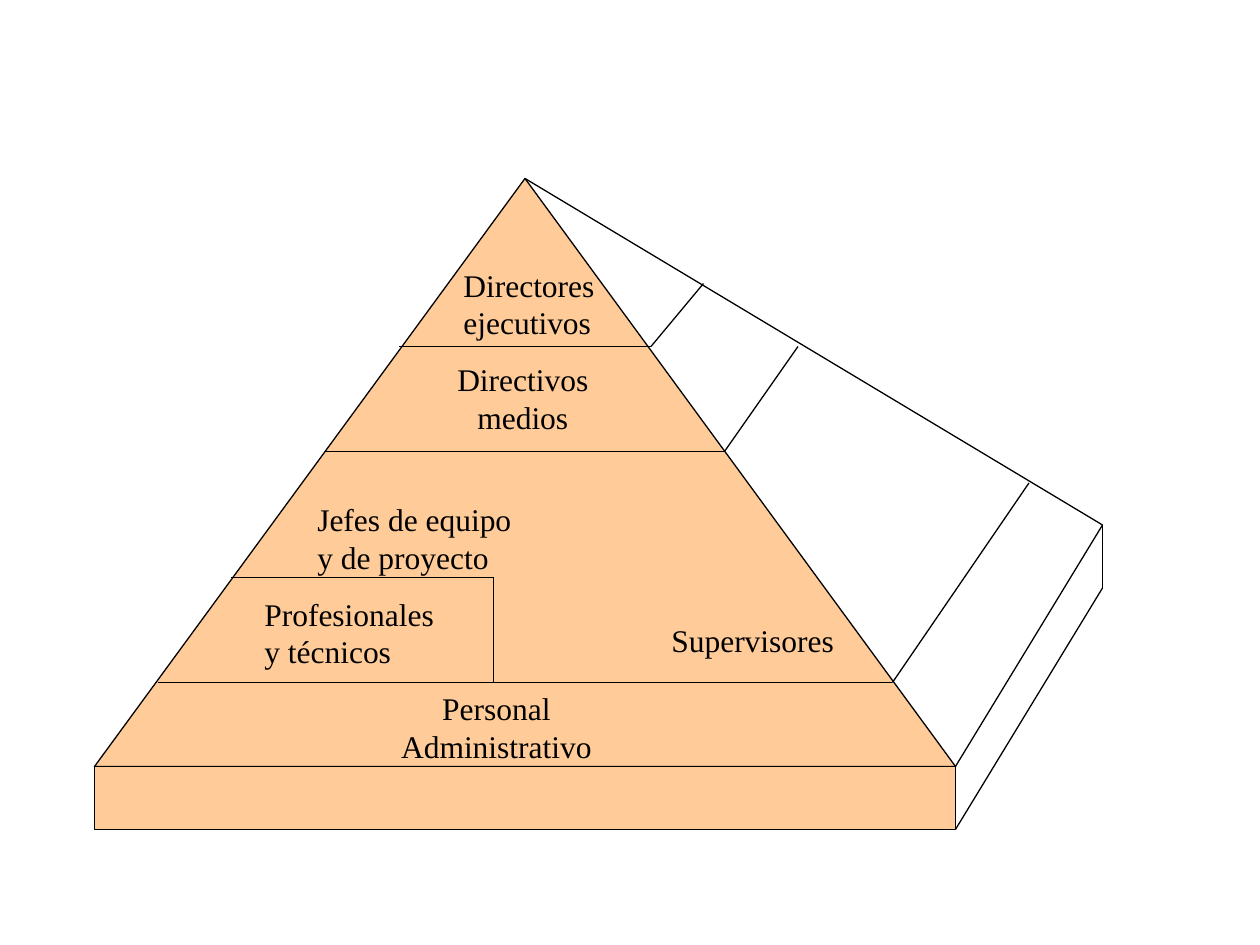
from pptx import Presentation
from pptx.dml.color import RGBColor
from pptx.enum.shapes import MSO_CONNECTOR, MSO_SHAPE
from pptx.enum.text import MSO_AUTO_SIZE, PP_ALIGN
from pptx.oxml.ns import qn
from pptx.util import Inches, Pt
from lxml.etree import SubElement

THEME = {
    "face": RGBColor.from_string("FFCC99"),
    "ink": RGBColor.from_string("000000"),
    "line": Pt(0.75),
    "font": "Times New Roman",
    "size": Pt(18),
}

UNITS_PER_INCH = 12
LEFT, RIGHT, BASE = 9, 91, 73
DEPTH = 6
APEX = (50, 17)
BACK = (105, 50)
FRONT = (RIGHT, BASE)

FACES = [
    (MSO_SHAPE.FLOWCHART_EXTRACT, LEFT, APEX[1], RIGHT - LEFT, BASE - APEX[1]),
    (MSO_SHAPE.RECTANGLE, LEFT, BASE, RIGHT - LEFT, DEPTH),
]

LEVELS = [
    ((38, 33), (62, 33), (67, 27)),
    ((31, 43), (69, 43), (76, 33)),
    ((15, 65), (85, 65), (98, 46)),
]
STAFF_CORNER = (47, 55)
STAFF_EDGES = [(STAFF_CORNER, (22, 55)), (STAFF_CORNER, (47, 65))]

LABELS = [
    ("Directores\nejecutivos", 3.58, 2.06, 1.26, 0.7, PP_ALIGN.LEFT),
    ("Directivos\nmedios", 3.52, 2.81, 1.26, 0.7, PP_ALIGN.CENTER),
    ("Jefes de equipo\ny de proyecto", 2.42, 3.92, 1.74, 0.7, PP_ALIGN.LEFT),
    ("Profesionales\ny técnicos", 2, 4.67, 1.56, 0.7, PP_ALIGN.LEFT),
    ("Supervisores", 5.23, 4.88, 1.5, 0.4, PP_ALIGN.LEFT),
    ("Personal\nAdministrativo", 3.07, 5.42, 1.74, 0.7, PP_ALIGN.CENTER),
]


def grid(values):
    return [Inches(value / UNITS_PER_INCH) for value in values]


def lower(point):
    return point[0], point[1] + DEPTH


def style_line(shape):
    shape.line.color.rgb = THEME["ink"]
    shape.line.width = THEME["line"]


def add_face(slide, kind, *box):
    shape = slide.shapes.add_shape(kind, *grid(box))
    shape.shadow.inherit = False
    shape.fill.solid()
    shape.fill.fore_color.rgb = THEME["face"]
    style_line(shape)


def add_edge(slide, start, end):
    connector = slide.shapes.add_connector(
        MSO_CONNECTOR.STRAIGHT, *grid(start + end))
    style_line(connector)
    SubElement(connector._element.spPr, qn("a:effectLst"))


def add_label(slide, text, left, top, width, height, alignment):
    box = slide.shapes.add_textbox(*map(Inches, (left, top, width, height)))
    frame = box.text_frame
    frame.word_wrap = False
    frame.auto_size = MSO_AUTO_SIZE.SHAPE_TO_FIT_TEXT
    frame.text = text
    for paragraph in frame.paragraphs:
        paragraph.alignment = alignment
        for run in paragraph.runs:
            run.font.name = THEME["font"]
            run.font.size = THEME["size"]
            run.font.color.rgb = THEME["ink"]


def main():
    presentation = Presentation()
    presentation.slide_width = Inches(10)
    presentation.slide_height = Inches(7.5)
    slide = presentation.slides.add_slide(presentation.slide_layouts[6])

    for face in FACES:
        add_face(slide, *face)

    edges = [(APEX, BACK), (FRONT, BACK),
             (lower(FRONT), lower(BACK)), (BACK, lower(BACK))]
    for start, corner, end in LEVELS:
        edges += [(start, corner), (corner, end)]
    for edge in edges + STAFF_EDGES:
        add_edge(slide, *edge)

    for label in LABELS:
        add_label(slide, *label)

    presentation.save("out.pptx")


if __name__ == "__main__":
    main()
